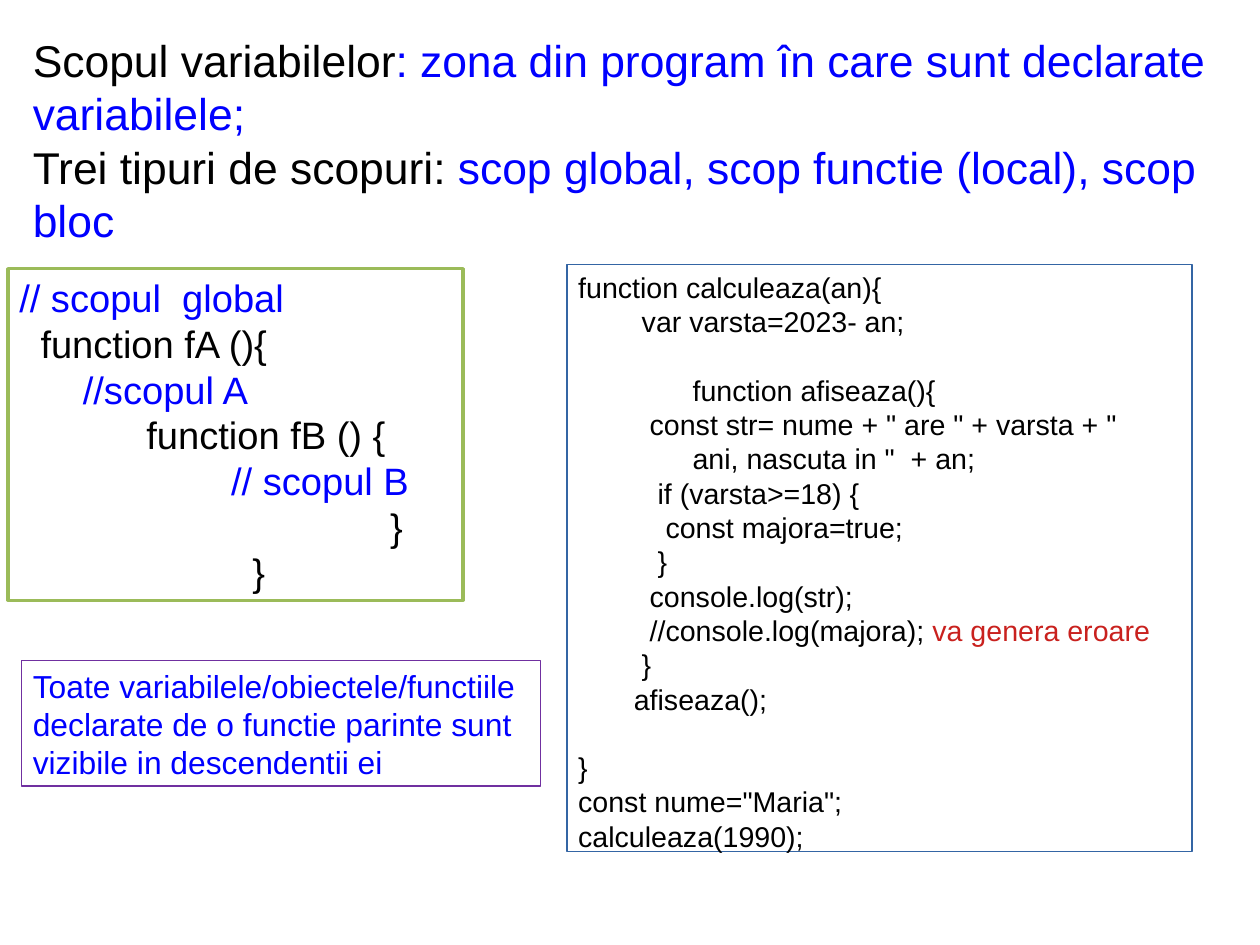
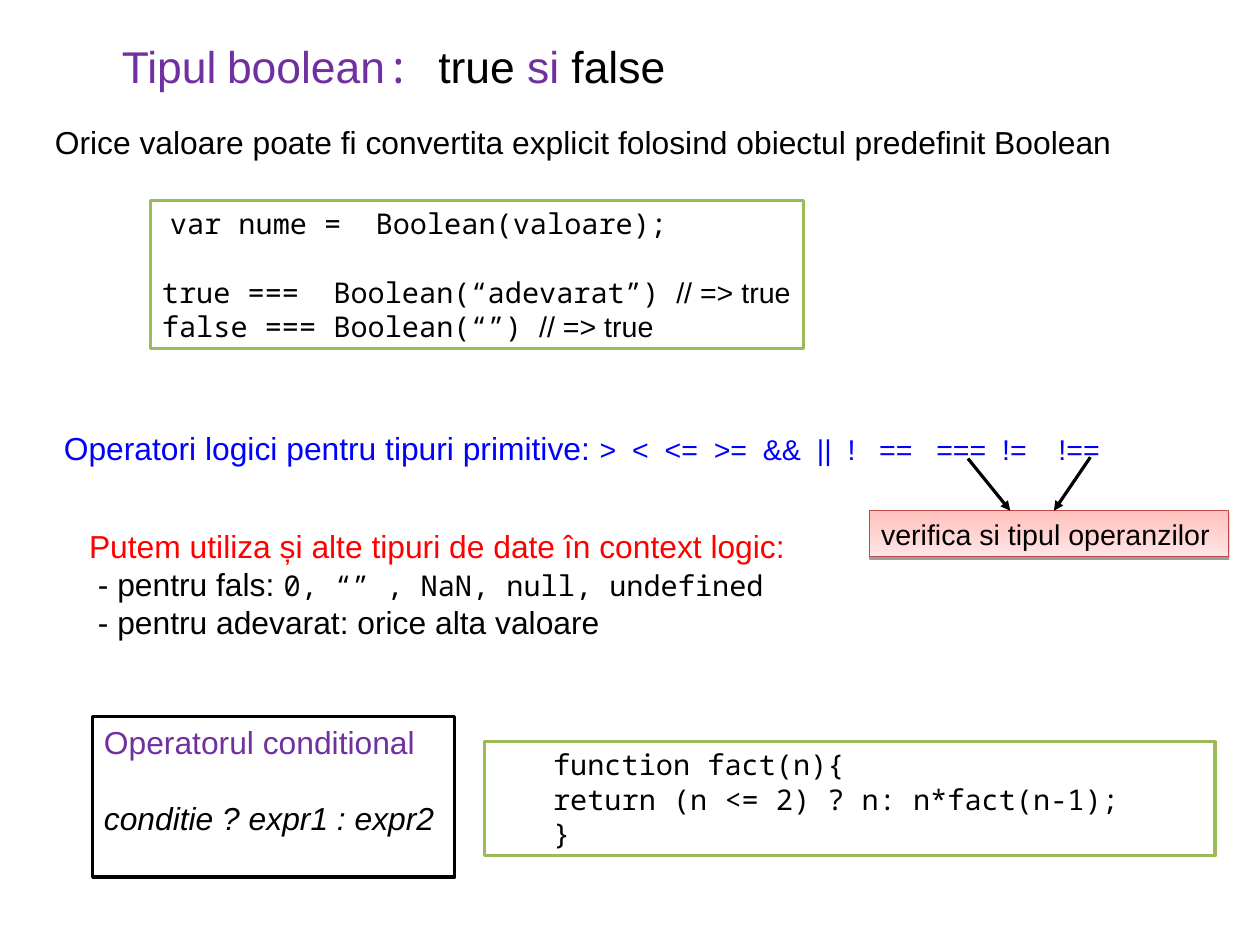
"""Two slides on variable scope and the boolean type in JavaScript."""
from lxml.etree import SubElement
from pptx import Presentation
from pptx.dml.color import RGBColor
from pptx.enum.shapes import MSO_CONNECTOR, MSO_SHAPE
from pptx.enum.text import MSO_ANCHOR, PP_ALIGN
from pptx.oxml.ns import qn
from pptx.util import Cm, Pt

BLACK, BLUE, PURPLE, RED = "000000", "0000FF", "7030A0", "FF0000"
WHITE, GREEN, DARK_RED, STEEL = "FFFFFF", "9BBB59", "C9211E", "3465A4"
SANS, MONO = "Arial", "Noto Sans Mono"
SPACE_EM, LINE_EM = 0.278, 1.2


def run(text, **style):
    return text, style


def line(*runs, indent=0, gap=0, **style):
    return dict(runs=[run(r) if isinstance(r, str) else r for r in runs],
                indent=indent, gap=gap, style=style)


SCOPE = [
    dict(at=(0.48, 0.61, 27, 4.65), size=28, lines=[
        line(run("Scopul variabilelor", color=BLACK),
             run(": zona din program în care sunt declarate variabilele;", color=BLUE)),
        line(run("Trei tipuri de scopuri: ", color=BLACK),
             run("scop global, scop functie (local), scop bloc", color=BLUE))]),
    dict(at=(0.18, 5.97, 10.11, 7.37), size=24, fill=WHITE, border=(GREEN, 2), lines=[
        line("// scopul  global", color=BLUE),
        line("function fA (){", indent=2),
        line("//scopul A", indent=6, color=BLUE),
        line("function fB () {", indent=12),
        line("// scopul B", indent=20, color=BLUE),
        line("}", indent=35),
        line("}", indent=22)]),
    dict(at=(0.48, 14.68, 11.53, 2.79), size=20, border=(PURPLE, 0), lines=[
        line("Toate variabilele/obiectele/functiile", color=BLUE),
        line("declarate de o functie parinte sunt", color=BLUE),
        line("vizibile in descendentii ei", color=BLUE)]),
    dict(at=(12.6, 5.87, 13.89, 13.06), size=18, border=(STEEL, 0), lines=[
        line("function calculeaza(an){"),
        line("var varsta=2023- an;", indent=8),
        line("function afiseaza(){", indent=14.4, gap=1),
        line('const str= nume + " are " + varsta + "', indent=9),
        line('ani, nascuta in "  + an;', indent=14.4),
        line("if (varsta>=18) {", indent=10),
        line("const majora=true;", indent=11),
        line("}", indent=10),
        line("console.log(str);", indent=9),
        line("//console.log(majora); ", run("va genera eroare", color=DARK_RED), indent=9),
        line("}", indent=8),
        line("afiseaza();", indent=7),
        line("}", gap=1),
        line('const nume="Maria";'),
        line("calculeaza(1990);")]),
]

BOOLEAN = [
    dict(at=(2.46, 0.74, 12.57, 1.45), size=28, lines=[
        line(run("Tipul", color=PURPLE), run(" ", size=24), run("boolean", color=PURPLE),
             run(": ", color=PURPLE, face=MONO), "true ",
             run("si ", color=PURPLE), "false")]),
    dict(at=(0.97, 2.59, 24.2, 1.09), size=20, lines=[
        line("Orice valoare poate fi convertita explicit folosind obiectul predefinit Boolean")]),
    dict(at=(3.35, 4.45, 14.5, 3.3), size=18, fill=WHITE, border=(GREEN, 2), lines=[
        line("var nume =  Boolean(valoare);", indent=1, face=MONO),
        line("true ===  Boolean(“adevarat”) ", run("// => true", face=SANS), gap=1, face=MONO),
        line("false === Boolean(“”) ", run("// => true", face=SANS), face=MONO)]),
    dict(at=(1.17, 9.4, 26.59, 1.09), size=20, lines=[
        line("Operatori logici pentru tipuri primitive: ",
             run(">  <  <=  >=  &&  ||  !   ==   ===  !=    !==", size=18), color=BLUE)]),
    dict(at=(1.73, 11.58, 16.08, 3.63), size=20, lines=[
        line("Putem utiliza și alte tipuri de date în context logic:", color=RED),
        line("- pentru fals: ", run("0, “” , NaN, null, undefined", size=18, face=MONO), indent=1),
        line("- pentru adevarat: orice alta valoare", indent=1)]),
    dict(at=(2.06, 15.93, 8.05, 3.56), size=20, fill=WHITE, border=(BLACK, 2), lines=[
        line("Operatorul conditional", color=PURPLE),
        line("conditie ? expr1 : expr2", gap=1, italic=True)]),
    dict(at=(10.77, 16.48, 16.23, 2.54), size=18, fill=WHITE, border=(GREEN, 2), lines=[
        line(text, indent=7.2, face=MONO)
        for text in ("function fact(n){", "return (n <= 2) ? n: n*fact(n-1);", "}")]),
    dict(at=(19.33, 11.35, 7.98, 1.02), size=18, fill=("FFC1BE", "FFE5E5"),
         border=("BE4B48", 0.75), shadow=True, lines=[line("verifica si tipul operanzilor")]),
]
ARROWS = [(24.23, 10.16, 23.42, 11.35), (21.51, 10.19, 22.45, 11.35)]


def rgb(value):
    return RGBColor.from_string(value)


def set_font(font, face=None, size=None, color=None, italic=None):
    if face:
        font.name = face
    if size:
        font.size = Pt(size)
    if color:
        font.color.rgb = rgb(color)
    if italic:
        font.italic = True


def write(tf, lines, size):
    for i, item in enumerate(lines):
        p = tf.paragraphs[0] if i == 0 else tf.add_paragraph()
        p.alignment = PP_ALIGN.LEFT
        p.line_spacing = Pt(size * LINE_EM)
        p.space_before = Pt(size * LINE_EM * item["gap"])
        p._p.get_or_add_pPr().set("marL", str(int(Pt(item["indent"] * size * SPACE_EM))))
        set_font(p.font, **{"face": SANS, "size": size, "color": BLACK, **item["style"]})
        for text, style in item["runs"]:
            r = p.add_run()
            r.text = text
            set_font(r.font, **style)


def paint(sp, fill, border):
    if isinstance(fill, tuple):
        sp.fill.gradient()
        sp.fill.gradient_angle = 270
        for stop, color in zip(sp.fill.gradient_stops, fill):
            stop.color.rgb = rgb(color)
    elif fill:
        sp.fill.solid()
        sp.fill.fore_color.rgb = rgb(fill)
    else:
        sp.fill.background()
    color, width = border
    sp.line.color.rgb = rgb(color)
    sp.line.width = Pt(width)


def add_shadow(sp):
    effects = sp._element.spPr.find(qn("a:effectLst"))
    outer = SubElement(effects, qn("a:outerShdw"), blurRad="0", dist=str(int(Pt(1.6))),
                       dir="5400000", rotWithShape="0")
    color = SubElement(outer, qn("a:srgbClr"), val=BLACK)
    SubElement(color, qn("a:alpha"), val="38000")


def add_box(s, at, size, lines, fill=None, border=None, shadow=False):
    frame = [Cm(v) for v in at]
    if border:
        sp = s.shapes.add_shape(MSO_SHAPE.RECTANGLE, *frame)
        sp.shadow.inherit = False
        paint(sp, fill, border)
    else:
        sp = s.shapes.add_textbox(*frame)
    if shadow:
        add_shadow(sp)
    tf = sp.text_frame
    tf.word_wrap = True
    tf.vertical_anchor = MSO_ANCHOR.TOP
    tf.margin_left, tf.margin_right = Cm(0.25), Cm(0.05)
    tf.margin_top = tf.margin_bottom = Cm(0.13)
    write(tf, lines, size)


def add_arrow(s, ends):
    cx = s.shapes.add_connector(MSO_CONNECTOR.STRAIGHT, *[Cm(v) for v in ends])
    cx.line.color.rgb = rgb(BLACK)
    cx.line.width = Pt(0)
    SubElement(cx.line._get_or_add_ln(), qn("a:tailEnd"), type="triangle")
    SubElement(cx._element.spPr, qn("a:effectLst"))


def main():
    prs = Presentation()
    prs.slide_width, prs.slide_height = Cm(28), Cm(21)
    for boxes, arrows in ((SCOPE, []), (BOOLEAN, ARROWS)):
        s = prs.slides.add_slide(prs.slide_layouts[6])
        for box in boxes:
            add_box(s, **box)
        for ends in arrows:
            add_arrow(s, ends)
    prs.save("out.pptx")


if __name__ == "__main__":
    main()
